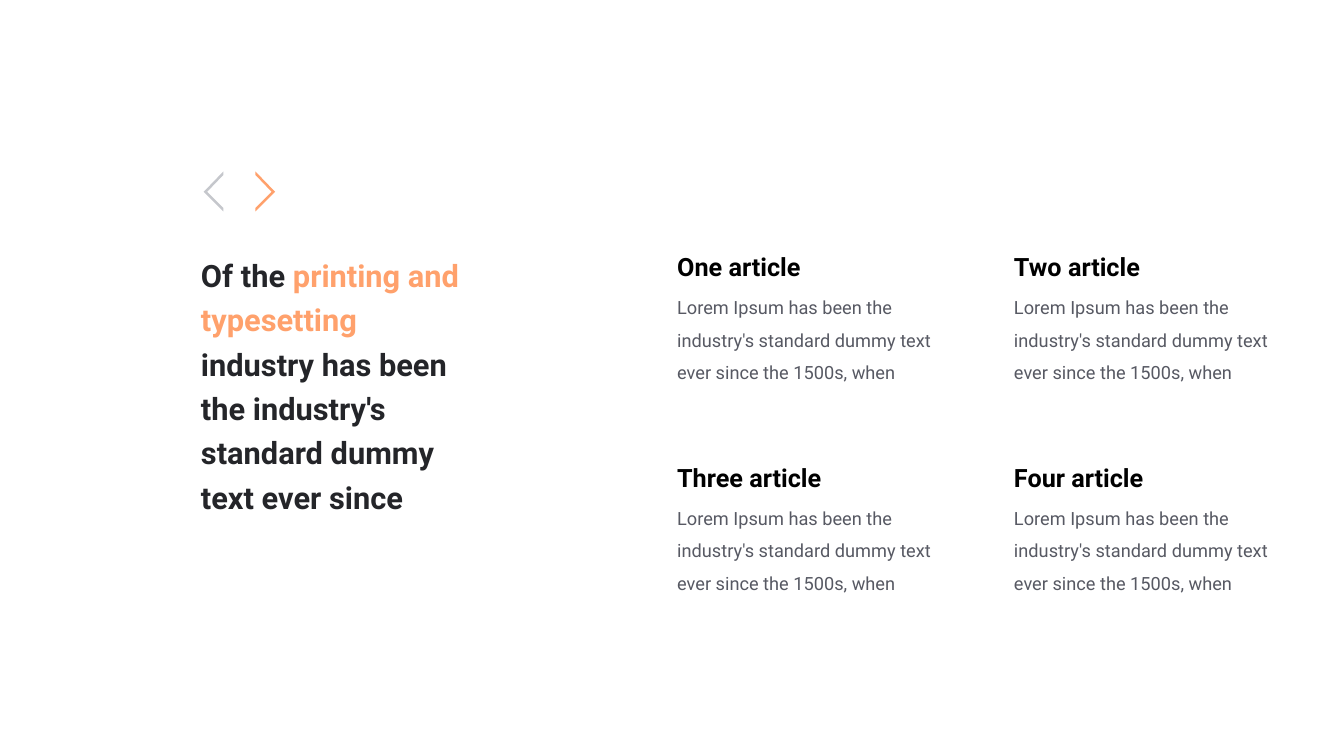
from dataclasses import dataclass

import pptx
import pptx.dml.color
import pptx.util

Pt = pptx.util.Pt

FONT = "Roboto"
ORANGE, INK, BLACK, SLATE, SILVER = "FFA16C", "242529", "000000", "575963", "C5C7CC"


@dataclass
class Span:
    text: str
    color: str


@dataclass
class Para:
    spans: list[Span]
    size: float
    line_spacing: float = 1.2
    bold: bool = True


@dataclass
class Chevron:
    tip: float
    direction: int
    color: str


def rgb(value: str) -> pptx.dml.color.RGBColor:
    return pptx.dml.color.RGBColor.from_string(value)


def add_text(slide, left: float, top: float, width: float, height: float,
             paras: list[Para]) -> None:
    frame = slide.shapes.add_textbox(Pt(left), Pt(top), Pt(width), Pt(height)).text_frame
    frame.word_wrap = True
    for index, para in enumerate(paras):
        paragraph = frame.add_paragraph() if index else frame.paragraphs[0]
        paragraph.line_spacing = para.line_spacing
        paragraph.space_before = Pt(para.size * 0.2)
        for span in para.spans:
            run = paragraph.add_run()
            run.text = span.text
            run.font.name = FONT
            run.font.size = Pt(para.size)
            run.font.bold = para.bold
            run.font.color.rgb = rgb(span.color)


def add_chevron(slide, chevron: Chevron) -> None:
    middle, reach, thickness = 273.6, 28.3, 5
    inner = reach - thickness
    back = chevron.tip - chevron.direction * reach
    notch = chevron.tip - chevron.direction * thickness
    outline = [(back, middle - reach), (chevron.tip, middle), (back, middle + reach),
               (back, middle + inner), (notch, middle), (back, middle - inner)]
    builder = slide.shapes.build_freeform(*outline[0], scale=Pt(1))
    builder.add_line_segments(outline[1:], close=True)
    shape = builder.convert_to_shape()
    shape.shadow.inherit = False
    shape.fill.solid()
    shape.fill.fore_color.rgb = rgb(chevron.color)
    shape.line.fill.background()


presentation = pptx.Presentation()
presentation.slide_width, presentation.slide_height = Pt(1920), Pt(1080)
slide = presentation.slides.add_slide(presentation.slide_layouts[6])

# Articles in a two by two grid
ARTICLE = "Lorem Ipsum has been the industry's standard dummy text ever since the 1500s, when"
for index, number in enumerate(["One", "Two", "Three", "Four"]):
    row, column = divmod(index, 2)
    add_text(slide, 960.3 + column * 481.2, 347 + row * 301, 391.7, 232.6, [
        Para([Span(f"{number} article", BLACK)], 36),
        Para([Span(ARTICLE, SLATE)], 26, 1.5, False),
    ])

# Headline
add_text(slide, 280, 352.8, 408, 430.6, [Para([
    Span("Of the ", INK),
    Span("printing and typesetting", ORANGE),
    Span(" industry has been the industry's standard dummy text ever since", INK),
], 44)])

# Previous and next chevrons
for chevron in [Chevron(393.3, 1, ORANGE), Chevron(291.1, -1, SILVER)]:
    add_chevron(slide, chevron)

presentation.save("out.pptx")
